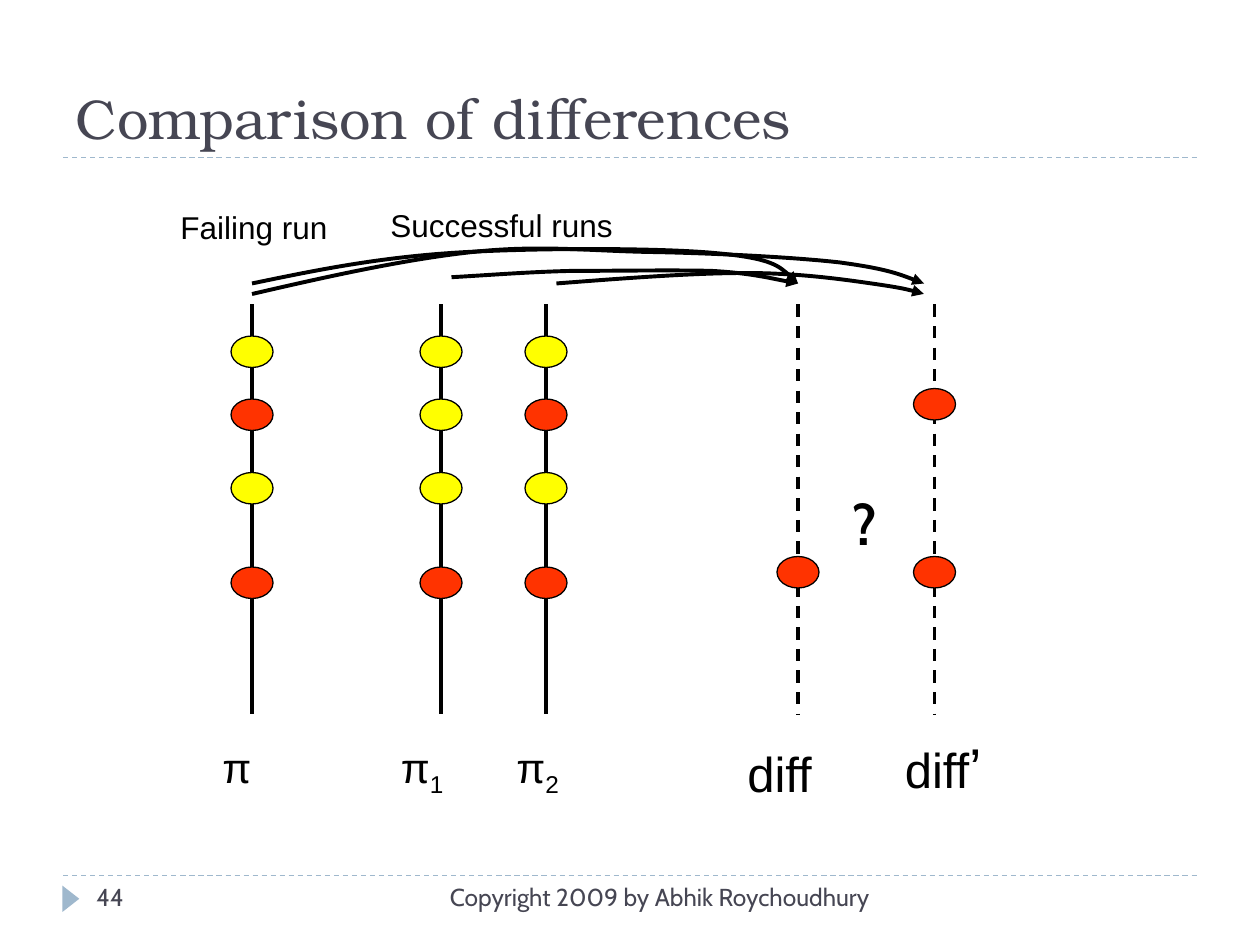
from pptx import Presentation
from pptx.dml.color import RGBColor
from pptx.enum.dml import MSO_LINE
from pptx.enum.shapes import MSO_CONNECTOR, MSO_SHAPE
from pptx.enum.text import MSO_ANCHOR, PP_ALIGN
from pptx.oxml.ns import qn
from pptx.util import Pt
from lxml import etree

PX = 7620
DASH = MSO_LINE.DASH
LINE = MSO_CONNECTOR.STRAIGHT
OVAL = MSO_SHAPE.OVAL
TRI = MSO_SHAPE.ISOSCELES_TRIANGLE
LEFT, RIGHT = PP_ALIGN.LEFT, PP_ALIGN.RIGHT
BOTTOM = MSO_ANCHOR.BOTTOM

COLORS = {"ink": "464653", "rule": "9FB8CD", "black": "000000",
          "red": "FF3300", "yellow": "FFFF00"}

TOP, END = 290, 680
DOT_W, DOT_H = 40, 30

RUNS = [
    (890, DASH, [(370, "red"), (530, "red")]),
    (760, DASH, [(530, "red")]),
    (240, None, [(320, "yellow"), (380, "red"), (450, "yellow"), (540, "red")]),
    (420, None, [(320, "yellow"), (380, "yellow"), (450, "yellow"), (540, "red")]),
    (520, None, [(320, "yellow"), (380, "red"), (450, "yellow"), (540, "red")]),
]

CURVES = [
    [(240, 270), (298, 258), (356, 246), (430, 241), (503, 236), (625, 236),
     (680, 241), (736, 246), (748, 258), (760, 270)],
    [(430, 264), (466, 262), (503, 259), (544, 258), (584, 258), (642, 257),
     (678, 258), (714, 260), (748, 268), (760, 270)],
    [(240, 280), (313, 263), (386, 247), (450, 240), (514, 233), (562, 239),
     (620, 240), (678, 241), (757, 245), (800, 250), (844, 256), (862, 263),
     (880, 270)],
    [(530, 270), (595, 265), (660, 260), (710, 260), (760, 260), (802, 266),
     (830, 270), (858, 274), (875, 278), (880, 280)],
]

LABELS = [
    ((700, 702, 240, 68), [("diff", 28, False)]),
    ((850, 692, 120, 77), [("diff", 28, False), ("’", 32, False)]),
    ((160, 192, 190, 48), [("Failing run", 18, False)]),
    ((360, 190, 250, 48), [("Successful runs", 18, False)]),
    ((200, 700, 70, 60), [("π", 24, False)]),
    ((370, 700, 90, 67), [("π", 24, False), ("1", 24, True)]),
    ((480, 700, 90, 67), [("π", 24, False), ("2", 24, True)]),
]


def rgb(name):
    """Return the named colour."""
    return RGBColor.from_string(COLORS[name])


def scale(*nums):
    """Turn px into EMU."""
    return [n * PX for n in nums]


def stroke(shape, color, width, dash=None):
    """Set the outline of a shape or connector."""
    shape.line.color.rgb = rgb(color)
    shape.line.width = Pt(width)
    if dash is not None:
        shape.line.dash_style = dash


def add_line(slide, ends, color, width, dash=None):
    """Draw a straight line without shadow."""
    line = slide.shapes.add_connector(LINE, *scale(*ends))
    stroke(line, color, width, dash)
    etree.SubElement(line._element.spPr, qn("a:effectLst"))


def add_shape(slide, kind, box, fill):
    """Draw a filled preset shape without outline."""
    shape = slide.shapes.add_shape(kind, *scale(*box))
    shape.shadow.inherit = False
    shape.fill.solid()
    shape.fill.fore_color.rgb = rgb(fill)
    shape.line.fill.background()
    return shape


def add_dot(slide, mid, top, fill):
    """Draw one event on a run."""
    box = (mid - DOT_W // 2, top, DOT_W, DOT_H)
    stroke(add_shape(slide, OVAL, box, fill), "black", 0.75)


def bend(shape):
    """Join each three straight segments into one cubic curve."""
    legs = list(shape._element.iter(qn("a:lnTo")))
    for i in range(0, len(legs), 3):
        cubic = etree.Element(qn("a:cubicBezTo"))
        legs[i].addprevious(cubic)
        for leg in legs[i:i + 3]:
            cubic.append(leg[0])
            leg.getparent().remove(leg)


def add_curve(slide, knots):
    """Draw a curved arrow."""
    pen = slide.shapes.build_freeform(*scale(*knots[0]), scale=1.0)
    pen.add_line_segments([scale(*knot) for knot in knots[1:]], close=False)
    curve = pen.convert_to_shape()
    bend(curve)
    curve.shadow.inherit = False
    curve.fill.background()
    stroke(curve, "black", 2.25)
    etree.SubElement(curve.line._get_or_add_ln(), qn("a:tailEnd"), type="triangle")


def add_run(para, text, size, face, color, bold=False, sub=False):
    """Add one run of text."""
    run = para.add_run()
    run.text = text
    font = run.font
    font.size, font.name, font.bold = Pt(size), face, bold
    font.color.rgb = rgb(color)
    if sub:
        run._r.get_or_add_rPr().set("baseline", "-25000")


def add_text(slide, box, runs, face="Arial", color="black", align=LEFT, bold=False):
    """Add a one-line text box."""
    frame = slide.shapes.add_textbox(*scale(*box)).text_frame
    frame.word_wrap = True
    para = frame.paragraphs[0]
    para.alignment = align
    for text, size, sub in runs:
        add_run(para, text, size, face, color, bold, sub)


def set_title(slide, text):
    """Place and fill the title."""
    title = slide.shapes.title
    title.left, title.top, title.width, title.height = scale(60, 20, 1080, 130)
    frame = title.text_frame
    frame.vertical_anchor = BOTTOM
    para = frame.paragraphs[0]
    para.alignment = LEFT
    add_run(para, text, 32, "TeX Gyre Bonum", "ink")


def add_frame(slide):
    """Draw the rules and the footer."""
    for y in (834, 150):
        add_line(slide, (60, y, 1140, y), "rule", 0.75, DASH)
    add_shape(slide, TRI, (55, 848, 25, 16), "rule").rotation = 90
    add_text(slide, (380, 834, 460, 48),
             [("Copyright 2009 by Abhik Roychoudhury", 14, False)],
             "Cabin", "ink", RIGHT)
    add_text(slide, (80, 834, 260, 48), [("44", 14, False)], "Cabin", "ink")


def main():
    """Build the slide."""
    deck = Presentation()
    deck.slide_width, deck.slide_height = scale(1200, 900)
    slide = deck.slides.add_slide(deck.slide_layouts[5])
    set_title(slide, "Comparison of differences")
    add_frame(slide)
    for mid, dash, dots in RUNS:
        add_line(slide, (mid, TOP, mid, END), "black", 1.75, dash)
        for top, fill in dots:
            add_dot(slide, mid, top, fill)
    for box, runs in LABELS:
        add_text(slide, box, runs)
    for knots in CURVES:
        add_curve(slide, knots)
    add_text(slide, (800, 460, 70, 77), [("?", 32, False)], "Cabin", bold=True)
    deck.save("out.pptx")


if __name__ == "__main__":
    main()
